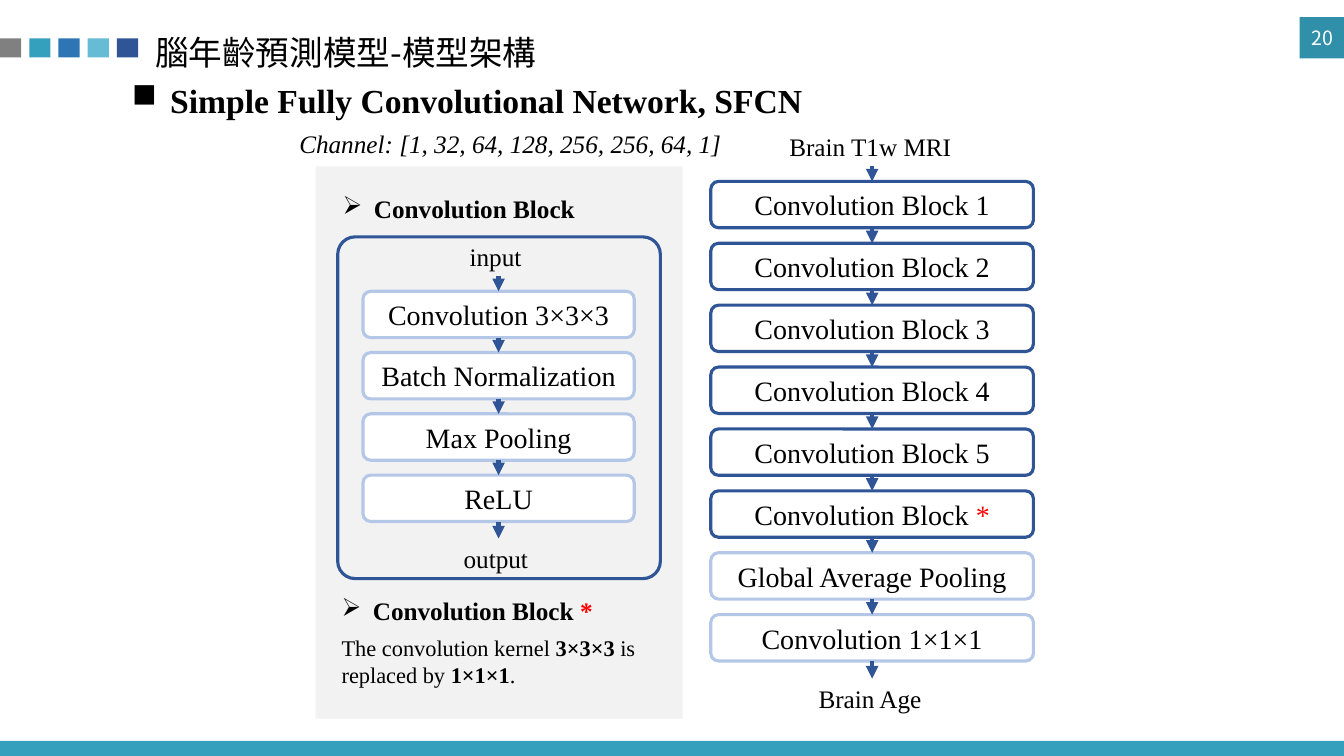
from lxml.etree import SubElement
from pptx import Presentation
from pptx.dml.color import RGBColor
from pptx.enum.shapes import MSO_CONNECTOR, MSO_SHAPE
from pptx.enum.text import MSO_ANCHOR, PP_ALIGN
from pptx.oxml.ns import qn
from pptx.util import Inches, Pt

NAVY, PALE, TEAL, RED = "2F5597", "B4C7E7", "35A0BD", "FF0000"
SERIF, SANS = "Times New Roman", "Noto Sans CJK SC"
BLOCK_HEIGHT = 0.46

deck = Presentation()
deck.slide_width, deck.slide_height = Inches(13.33), Inches(7.5)
page = deck.slides.add_slide(deck.slide_layouts[6])


def write(para, text, size=18, font=SERIF, color="000000", bold=False, italic=False,
          align=None, spacing=None, before=None, bullet=None, indent=0.31):
    """Append one run to a paragraph; layout options apply to the whole paragraph."""
    if align is not None:
        para.alignment = align
    if spacing is not None:
        para.line_spacing = spacing
    if before is not None:
        para.space_before = Pt(before)
    if bullet:
        properties = para._p.get_or_add_pPr()
        properties.set("marL", str(Inches(indent)))
        properties.set("indent", str(-Inches(indent)))
        SubElement(properties, qn("a:buChar")).set("char", bullet)
    span = para.add_run()
    span.text = text
    span.font.size, span.font.name = Pt(size), font
    span.font.bold, span.font.italic = bold, italic
    span.font.color.rgb = RGBColor.from_string(color)
    SubElement(span._r.get_or_add_rPr(), qn("a:ea")).set("typeface", font)


def draw(left, top, width, height, kind=MSO_SHAPE.RECTANGLE, fill=None, line=None):
    shape = page.shapes.add_shape(kind, Inches(left), Inches(top), Inches(width), Inches(height))
    shape.shadow.inherit = False
    if fill:
        shape.fill.solid()
        shape.fill.fore_color.rgb = RGBColor.from_string(fill)
    else:
        shape.fill.background()
    if line:
        shape.line.color.rgb = RGBColor.from_string(line)
        shape.line.width = Pt(2.25)
    else:
        shape.line.fill.background()
    return shape


# Page furniture and the grey panel
draw(0, 7.35, 13.33, 0.15, fill=TEAL)
for column, color in enumerate(["808080", TEAL, "2E75B6", "66BCD4", NAVY]):
    draw(0.29 * column, 0.38, 0.21, 0.19, fill=color)
draw(12.89, 0.17, 0.45, 0.41, fill="3090AA")
draw(3.13, 1.65, 3.64, 5.48, fill="F2F2F2")

# Stacks of blocks, each with an arrow above it and one below the last
network = [(f"Convolution Block {number}", NAVY) for number in range(1, 6)]
network += [("Convolution Block *", NAVY), ("Global Average Pooling", PALE),
            ("Convolution 1×1×1", PALE)]
layers = [(name, PALE) for name in
          ["Convolution 3×3×3", "Batch Normalization", "Max Pooling", "ReLU"]]

for left, first_top, width, pitch, blocks in [
    (7.05, 1.8, 3.2, 0.614, network),
    (3.6, 2.89, 2.69, 0.608, layers),
]:
    center = Inches(left + width / 2)
    for row, (name, color) in enumerate(blocks):
        box = draw(left, first_top + row * pitch, width, BLOCK_HEIGHT,
                   MSO_SHAPE.ROUNDED_RECTANGLE, "FFFFFF", color)
        box.text_frame.vertical_anchor = MSO_ANCHOR.MIDDLE
        para = box.text_frame.paragraphs[0]
        write(para, name.rstrip("*"), size=20, align=PP_ALIGN.CENTER)
        if name.endswith("*"):
            write(para, "*", size=20, color=RED)
    gap = pitch - BLOCK_HEIGHT
    for row in range(len(blocks) + 1):
        tip = first_top + row * pitch
        if row == len(blocks):
            tip += 0.02
        arrow = page.shapes.add_connector(MSO_CONNECTOR.STRAIGHT, center,
                                          Inches(first_top + row * pitch - gap),
                                          center, Inches(tip))
        arrow.line.color.rgb = RGBColor.from_string(NAVY)
        arrow.line.width = Pt(3)
        SubElement(arrow.line._get_or_add_ln(), qn("a:tailEnd")).set("type", "triangle")
        SubElement(arrow._element.spPr, qn("a:effectLst"))

# Text boxes: place, anchor, wrap, then paragraphs as lists of formatted runs
TOP, MIDDLE = MSO_ANCHOR.TOP, MSO_ANCHOR.MIDDLE
strong = dict(size=16, bold=True)
texts = [
    ((12.89, 0.28, 0.45, 0.27), TOP, True, [
        [("20", dict(size=14, font=SANS, color="FFFFFF", align=PP_ALIGN.CENTER, spacing=Pt(12)))]]),
    ((1.44, 0.17, 11.36, 0.75), MIDDLE, True, [
        [("腦年齡預測模型-模型架構", dict(size=24, font=SANS, spacing=0.9))]]),
    ((1.21, 0.72, 7.43, 0.54), MIDDLE, True, [
        [("Simple Fully Convolutional Network, SFCN",
          dict(size=24, bold=True, bullet="■", indent=0.38))]]),
    ((2.87, 1.22, 4.43, 0.4), TOP, False, [
        [("Channel: [1, 32, 64, 128, 256, 256, 64, 1]", dict(italic=True))]]),
    ((7.73, 1.25, 1.85, 0.4), TOP, False, [[("Brain T1w MRI", {})]]),
    ((8.02, 6.73, 1.27, 0.4), TOP, False, [[("Brain Age", {})]]),
    ((4.56, 2.34, 0.77, 0.4), TOP, True, [[("input", {})]]),
    ((4.5, 5.34, 0.9, 0.4), TOP, True, [[("output", {})]]),
    ((3.29, 1.8, 2.52, 0.54), MIDDLE, True, [
        [("Convolution Block", dict(bold=True, bullet="➢", align=PP_ALIGN.CENTER))]]),
    ((3.29, 5.86, 3.2, 1.03), TOP, True, [
        [("Convolution Block ", dict(bold=True, bullet="➢")),
         ("*", dict(bold=True, color=RED))],
        [("The convolution kernel ", dict(size=16, before=6)), ("3×3×3", strong),
         (" is replaced by ", dict(size=16)), ("1×1×1", strong), (".", dict(size=16))]]),
]
for place, anchor, wrap, paragraphs in texts:
    frame = page.shapes.add_textbox(*map(Inches, place)).text_frame
    frame.word_wrap, frame.vertical_anchor = wrap, anchor
    for index, runs in enumerate(paragraphs):
        para = frame.add_paragraph() if index else frame.paragraphs[0]
        for text, look in runs:
            write(para, text, **look)

outline = draw(3.35, 2.35, 3.2, 3.39, MSO_SHAPE.ROUNDED_RECTANGLE, line=NAVY)
outline.adjustments[0] = 0.054

deck.save("out.pptx")
